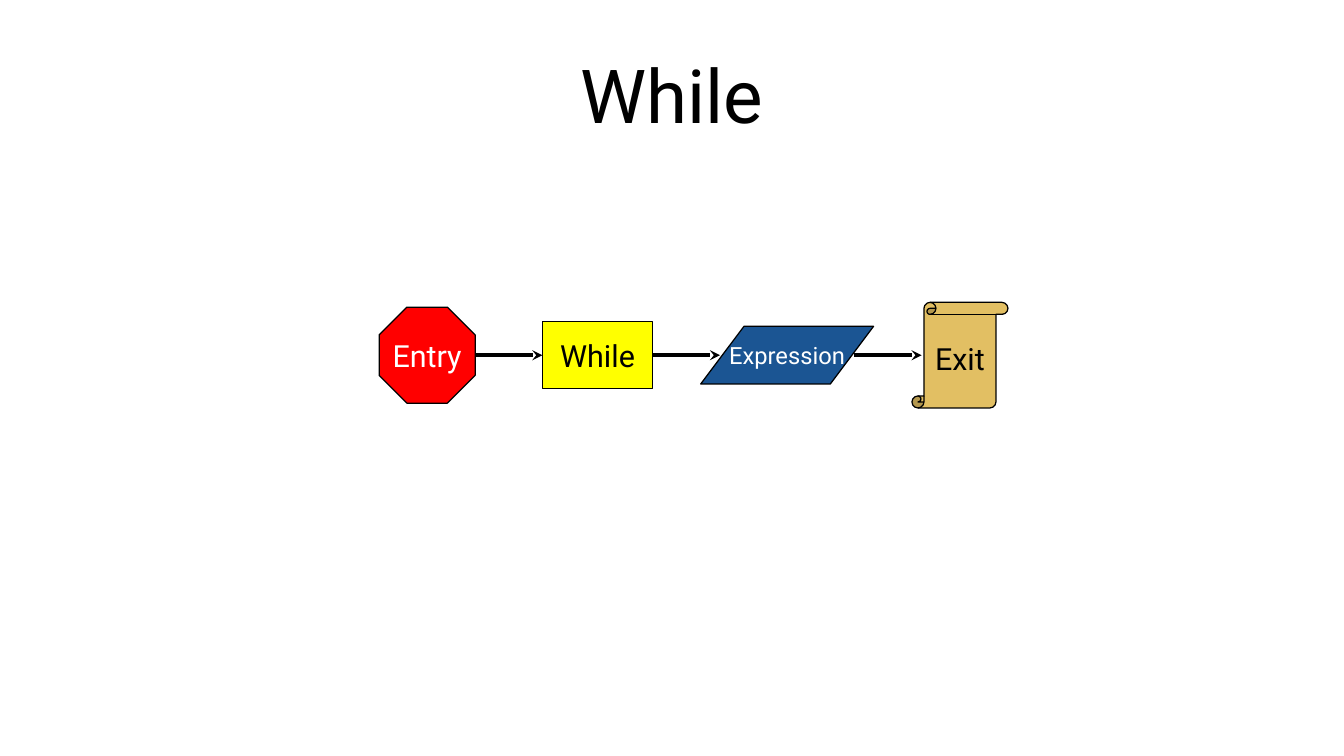
from dataclasses import dataclass

from lxml.etree import SubElement
from pptx import Presentation
from pptx.dml.color import RGBColor
from pptx.enum.shapes import MSO_CONNECTOR, MSO_SHAPE
from pptx.enum.text import MSO_ANCHOR, PP_ALIGN
from pptx.oxml.ns import qn
from pptx.slide import Slide
from pptx.text.text import TextFrame
from pptx.util import Cm, Pt

BLACK = RGBColor(0x00, 0x00, 0x00)
WHITE = RGBColor(0xFF, 0xFF, 0xFF)
RED = RGBColor(0xFF, 0x00, 0x00)
YELLOW = RGBColor(0xFF, 0xFF, 0x00)
BLUE = RGBColor(0x1B, 0x55, 0x93)
SAND = RGBColor(0xE2, 0xBF, 0x63)
FONT = "Roboto"
AXIS = 7.4
REACH = 1.4


@dataclass
class Node:
    label: str
    form: MSO_SHAPE
    left: float
    width: float
    height: float
    fill: RGBColor
    ink: RGBColor = BLACK
    size: int = 18
    adjust: float | None = None


NODES = [
    Node("Entry", MSO_SHAPE.OCTAGON, 7.9, 2, 2, RED, WHITE, adjust=0.29),
    Node("While", MSO_SHAPE.RECTANGLE, 11.3, 2.3, 1.4, YELLOW),
    Node("Expression", MSO_SHAPE.PARALLELOGRAM, 14.6, 3.6, 1.2, BLUE, WHITE, 14, 0.75),
    Node("Exit", MSO_SHAPE.VERTICAL_SCROLL, 19, 2, 2.2, SAND, adjust=0.125),
]
ARROWS = [9.9, 13.6, 17.8]


def write(frame: TextFrame, text: str, *, size: int, ink: RGBColor = BLACK,
          wrap: bool = False, pad: tuple[float, float] = (0.25, 0.13)) -> None:
    frame.word_wrap = wrap
    frame.vertical_anchor = MSO_ANCHOR.MIDDLE
    frame.margin_left = frame.margin_right = Cm(pad[0])
    frame.margin_top = frame.margin_bottom = Cm(pad[1])
    para = frame.paragraphs[0]
    para.alignment = PP_ALIGN.CENTER
    run = para.add_run()
    run.text = text
    run.font.name = FONT
    run.font.size = Pt(size)
    run.font.color.rgb = ink


def draw_node(slide: Slide, node: Node) -> None:
    shape = slide.shapes.add_shape(
        node.form, Cm(node.left), Cm(AXIS - node.height / 2), Cm(node.width), Cm(node.height))
    shape.shadow.inherit = False
    if node.adjust is not None:
        shape.adjustments[0] = node.adjust
    shape.fill.solid()
    shape.fill.fore_color.rgb = node.fill
    shape.line.color.rgb = BLACK
    shape.line.width = Pt(0)
    write(shape.text_frame, node.label, size=node.size, ink=node.ink)


def draw_arrow(slide: Slide, start: float) -> None:
    arrow = slide.shapes.add_connector(
        MSO_CONNECTOR.STRAIGHT, Cm(start), Cm(AXIS), Cm(start + REACH), Cm(AXIS))
    arrow.line.color.rgb = BLACK
    arrow.line.width = Pt(0)
    SubElement(arrow.line._get_or_add_ln(), qn("a:tailEnd"), type="stealth")
    SubElement(arrow._element.spPr, qn("a:effectLst"))


def main() -> None:
    deck = Presentation()
    deck.slide_width, deck.slide_height = Cm(28), Cm(15.75)
    slide = deck.slides.add_slide(deck.slide_layouts[5])
    title = slide.shapes.title
    title.left, title.top = Cm(1.4), Cm(0.63)
    title.width, title.height = Cm(25.2), Cm(2.63)
    write(title.text_frame, "While", size=44, wrap=True, pad=(0, 0))
    for node in NODES:
        draw_node(slide, node)
    for start in ARROWS:
        draw_arrow(slide, start)
    deck.save("out.pptx")


if __name__ == "__main__":
    main()
